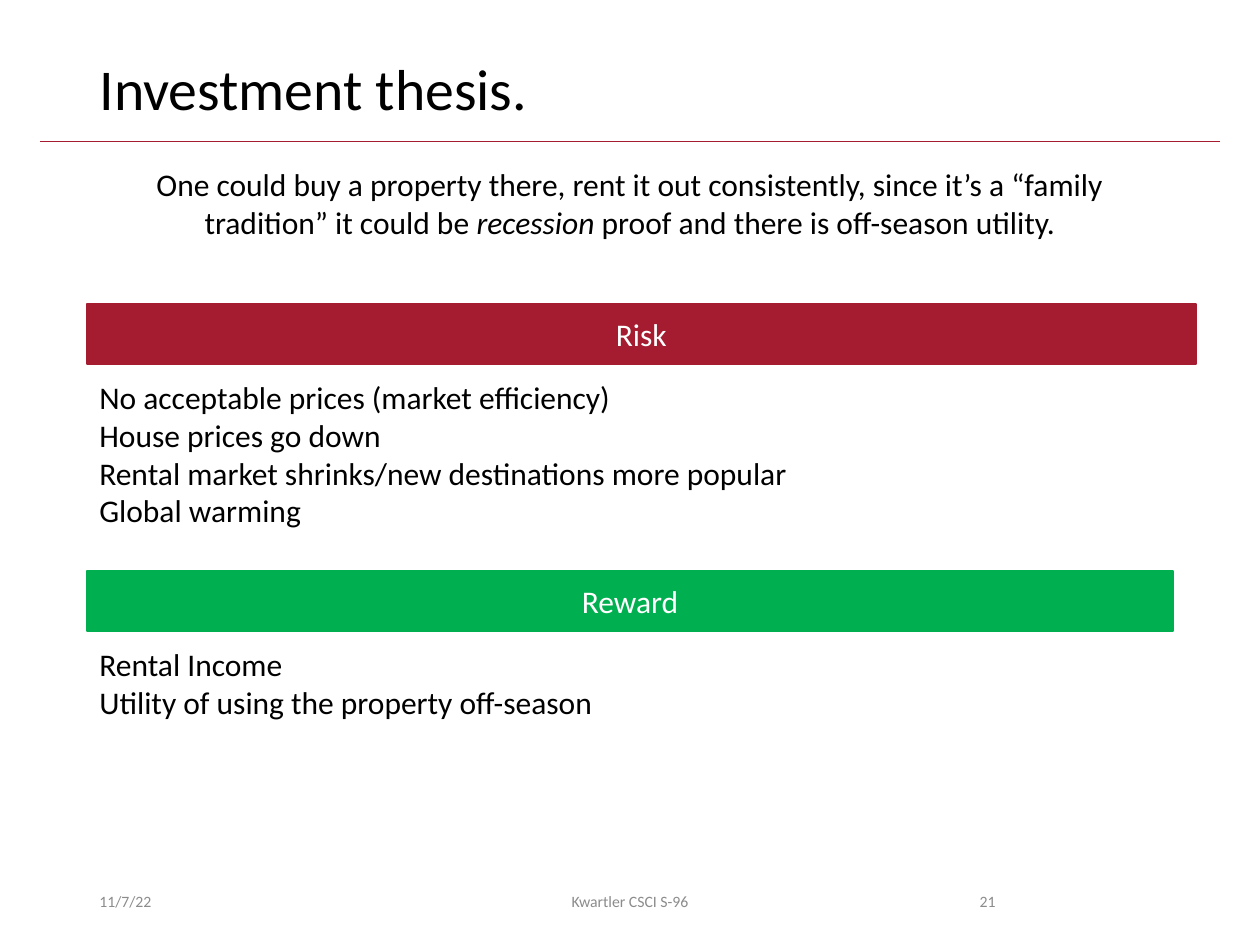
"""Build the investment thesis slide with its risk and reward sections."""
from dataclasses import dataclass

from lxml.etree import SubElement
from pptx import Presentation
from pptx.dml.color import RGBColor
from pptx.enum.shapes import MSO_CONNECTOR, MSO_SHAPE
from pptx.enum.text import MSO_ANCHOR, PP_ALIGN
from pptx.oxml.ns import qn
from pptx.slide import Slide
from pptx.text.text import TextFrame, _Paragraph
from pptx.util import Inches, Pt

FONT = "Calibri"
BLACK, WHITE, GRAY = "000000", "FFFFFF", "8C8C8C"
CRIMSON, GREEN = "A51C30", "00B050"
MARGIN = 0.69
CONTENT_WIDTH = 8.62
BANNER_HEIGHT = 0.48
LIST_OFFSET = 0.54


@dataclass(frozen=True)
class Section:
    heading: str
    color: str
    top: float
    banner_width: float
    list_width: float
    list_height: float
    points: tuple[str, ...]


@dataclass(frozen=True)
class FooterItem:
    text: str
    left: float
    width: float
    alignment: PP_ALIGN


SECTIONS = (
    Section("Risk", CRIMSON, 2.41, 8.8, 6.33, 1.31, (
        "No acceptable prices (market efficiency)",
        "House prices go down",
        "Rental market shrinks/new destinations more popular",
        "Global warming",
    )),
    Section("Reward", GREEN, 4.53, CONTENT_WIDTH, 6.38, 0.71, (
        "Rental Income",
        "Utility of using the property off-season",
    )),
)

FOOTER = (
    FooterItem("11/7/22", MARGIN, 2.25, PP_ALIGN.LEFT),
    FooterItem("Kwartler CSCI S-96", 3.31, 3.38, PP_ALIGN.CENTER),
    FooterItem("21", 7.06, 0.94, PP_ALIGN.RIGHT),
)


def rgb(color: str) -> RGBColor:
    return RGBColor.from_string(color)


def add_run(paragraph: _Paragraph, text: str, size: float = 18,
            color: str = BLACK, italic: bool = False) -> None:
    run = paragraph.add_run()
    run.text = text
    run.font.name = FONT
    run.font.size = Pt(size)
    run.font.italic = italic
    run.font.color.rgb = rgb(color)


def add_text_box(slide: Slide, left: float, top: float, width: float,
                 height: float) -> TextFrame:
    box = slide.shapes.add_textbox(Inches(left), Inches(top), Inches(width), Inches(height))
    box.text_frame.word_wrap = True
    return box.text_frame


def add_title(slide: Slide) -> None:
    title = slide.shapes.title
    title.left, title.top = Inches(MARGIN), Inches(0.4)
    title.width, title.height = Inches(CONTENT_WIDTH), Inches(0.65)
    title.text_frame.vertical_anchor = MSO_ANCHOR.MIDDLE
    paragraph = title.text_frame.paragraphs[0]
    paragraph.alignment = PP_ALIGN.LEFT
    paragraph.line_spacing = 0.9
    add_run(paragraph, "Investment thesis.", size=33)


def add_title_rule(slide: Slide) -> None:
    rule = slide.shapes.add_connector(
        MSO_CONNECTOR.STRAIGHT, Inches(0.32), Inches(1.12), Inches(9.68), Inches(1.12))
    rule.line.color.rgb = rgb(CRIMSON)
    rule.line.width = Pt(0.5)
    SubElement(rule._element.spPr, qn("a:effectLst"))


def add_thesis(slide: Slide) -> None:
    paragraph = add_text_box(slide, MARGIN, 1.26, CONTENT_WIDTH, 0.71).paragraphs[0]
    paragraph.alignment = PP_ALIGN.CENTER
    add_run(paragraph, "One could buy a property there, rent it out consistently, "
                       "since it’s a “family tradition” it could be ")
    add_run(paragraph, "recession", italic=True)
    add_run(paragraph, " proof and there is off-season utility.")


def add_section(slide: Slide, section: Section) -> None:
    banner = slide.shapes.add_shape(
        MSO_SHAPE.RECTANGLE, Inches(MARGIN), Inches(section.top),
        Inches(section.banner_width), Inches(BANNER_HEIGHT))
    banner.shadow.inherit = False
    banner.fill.solid()
    banner.fill.fore_color.rgb = rgb(section.color)
    banner.line.color.rgb = rgb(section.color)
    banner.line.width = Pt(1)
    banner.text_frame.vertical_anchor = MSO_ANCHOR.MIDDLE
    heading = banner.text_frame.paragraphs[0]
    heading.alignment = PP_ALIGN.CENTER
    add_run(heading, section.heading, color=WHITE)

    frame = add_text_box(slide, MARGIN, section.top + LIST_OFFSET,
                         section.list_width, section.list_height)
    for index, point in enumerate(section.points):
        paragraph = frame.add_paragraph() if index else frame.paragraphs[0]
        add_run(paragraph, point)


def add_footer_item(slide: Slide, item: FooterItem) -> None:
    frame = add_text_box(slide, item.left, 6.95, item.width, 0.4)
    frame.vertical_anchor = MSO_ANCHOR.MIDDLE
    paragraph = frame.paragraphs[0]
    paragraph.alignment = item.alignment
    add_run(paragraph, item.text, size=9, color=GRAY)


def main() -> None:
    presentation = Presentation()
    presentation.slide_width = Inches(10)
    presentation.slide_height = Inches(7.5)
    slide = presentation.slides.add_slide(presentation.slide_layouts.get_by_name("Title Only"))
    add_title_rule(slide)
    add_title(slide)
    add_thesis(slide)
    for section in SECTIONS:
        add_section(slide, section)
    for item in FOOTER:
        add_footer_item(slide, item)
    presentation.save("out.pptx")


if __name__ == "__main__":
    main()
